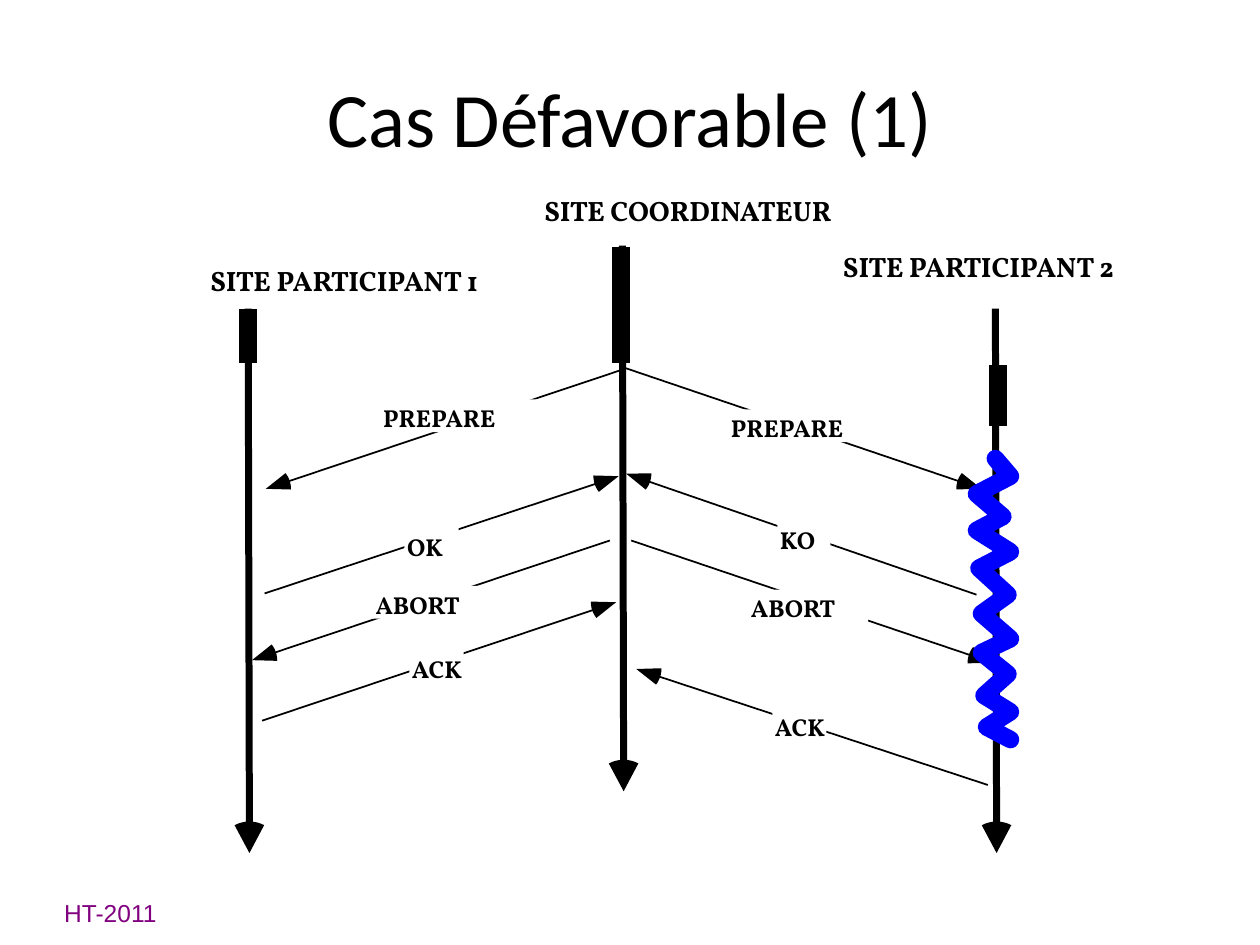
"""Builds the slide on the unfavourable case of two-phase commit."""
from dataclasses import dataclass
from math import atan2, cos, radians, sin

from lxml import etree
from pptx import Presentation
from pptx.dml.color import RGBColor
from pptx.enum.shapes import MSO_CONNECTOR, MSO_SHAPE
from pptx.enum.text import MSO_ANCHOR, MSO_AUTO_SIZE, PP_ALIGN
from pptx.oxml.ns import qn
from pptx.util import Inches, Pt

STRAIGHT = MSO_CONNECTOR.STRAIGHT
RECTANGLE = MSO_SHAPE.RECTANGLE
MIDDLE, TOP = MSO_ANCHOR.MIDDLE, MSO_ANCHOR.TOP
FIT, NO_FIT = MSO_AUTO_SIZE.SHAPE_TO_FIT_TEXT, MSO_AUTO_SIZE.NONE
LEFT, CENTER = PP_ALIGN.LEFT, PP_ALIGN.CENTER


@dataclass(frozen=True)
class Theme:
    ink: RGBColor = RGBColor(0, 0, 0)
    paper: RGBColor = RGBColor(255, 255, 255)
    failure: RGBColor = RGBColor(0, 0, 255)
    footer: RGBColor = RGBColor(128, 0, 128)
    title_font: str = "Calibri"
    label_font: str = "Vollkorn"
    footer_font: str = "Arial"
    title_size: int = 44
    site_size: int = 16
    label_size: int = 14
    thin: int = 1
    axis: int = 4
    heavy: int = 10


class Diagram:
    def __init__(self, slide, theme):
        self.s = slide
        self.theme = theme

    def text(self, text, box, size, font, color, bold=False, title=False):
        shape = self.s.shapes.add_textbox(*map(Inches, box))
        tf = shape.text_frame
        tf.word_wrap = title
        tf.auto_size = NO_FIT if title else FIT
        tf.vertical_anchor = MIDDLE if title else TOP
        tf.margin_left = tf.margin_right = Inches(0.09)
        p = tf.paragraphs[0]
        p.text = text
        p.alignment = CENTER if title else LEFT
        p.font.size, p.font.name, p.font.bold = Pt(size), font, bold
        p.font.color.rgb = color

    def line(self, start, end, width):
        line = self.s.shapes.add_connector(STRAIGHT, *map(Inches, (*start, *end)))
        line.line.color.rgb = self.theme.ink
        line.line.width = Pt(width)
        etree.SubElement(line._element.spPr, qn("a:effectLst"))

    def outline(self, points, close):
        pts = [(Inches(x), Inches(y)) for x, y in points]
        builder = self.s.shapes.build_freeform(*pts[0])
        builder.add_line_segments(pts[1:], close=close)
        shape = builder.convert_to_shape()
        shape.shadow.inherit = False
        return shape

    def arrow(self, start, tip, width, radius=0.2, half_angle=20):
        (x, y), (tip_x, tip_y) = start, tip
        back = atan2(y - tip_y, x - tip_x)

        def from_tip(distance, degrees):
            angle = back + radians(degrees)
            return tip_x + distance * cos(angle), tip_y + distance * sin(angle)

        arc = [from_tip(radius, half_angle * i / 4) for i in range(-4, 5)]
        head = self.outline([tip, *arc], True)
        head.fill.solid()
        head.fill.fore_color.rgb = self.theme.ink
        head.line.fill.background()
        self.line(start, from_tip(0.9 * radius, 0), width)

    def site(self, name, box):
        t = self.theme
        self.text(name, box, t.site_size, t.label_font, t.ink, bold=True)

    def message(self, name, left, top, width, mask_width):
        t = self.theme
        mask = self.s.shapes.add_shape(
            RECTANGLE, *map(Inches, (left + 0.07, top + 0.02, mask_width, 0.26)))
        mask.shadow.inherit = False
        mask.fill.solid()
        mask.fill.fore_color.rgb = t.paper
        mask.line.fill.background()
        self.text(name, (left, top, width, 0.32), t.label_size, t.label_font,
                  t.ink, bold=True)

    def zigzag(self, points):
        shape = self.outline(points, False)
        shape.fill.background()
        shape.line.color.rgb = self.theme.failure
        shape.line.width = Pt(self.theme.heavy)
        ln = shape._element.spPr.find(qn("a:ln"))
        ln.set("cap", "rnd")
        etree.SubElement(ln, qn("a:round"))


AXES = [(1.97, 2.45, 6.77), (4.94, 1.95, 6.28), (7.9, 2.45, 6.77)]
ACTIVITY = [(4.93, 1.96, 2.88), (1.97, 2.45, 2.88), (7.92, 2.9, 3.38)]
ARROWS = [
    ((4.95, 2.93), (2.11, 3.88)), ((4.93, 2.91), (7.79, 3.88)),
    ((2.1, 4.71), (4.91, 3.78)), ((7.75, 4.72), (4.97, 3.76)),
    ((4.84, 4.29), (2, 5.24)), ((5.01, 4.29), (7.88, 5.26)),
    ((2.08, 5.72), (4.89, 4.78)), ((7.84, 6.23), (5.05, 5.31)),
]
WIDTHS = {"PREPARE": (1.11, 1.26), "OK": (0.48, 0.43), "KO": (0.48, 0.42),
          "ABORT": (0.88, 0.95), "ACK": (0.6, 0.43)}
MESSAGES = [
    ("PREPARE", 2.95, 3.15), ("PREPARE", 5.71, 3.23),
    ("OK", 3.14, 4.17), ("KO", 6.1, 4.12),
    ("ABORT", 2.89, 4.63), ("ABORT", 5.87, 4.66),
    ("ACK", 3.18, 5.14), ("ACK", 6.06, 5.6),
]
FAILURE = [
    (7.9, 3.64), (8.02, 3.78), (7.75, 3.92), (7.96, 4.1), (7.75, 4.21),
    (8.02, 4.38), (7.77, 4.51), (8, 4.72), (7.79, 4.87), (8.02, 5.07),
    (7.79, 5.18), (8, 5.35), (7.81, 5.52), (8.02, 5.65), (7.83, 5.77),
    (8.02, 5.87),
]
SITES = [
    ("SITE COORDINATEUR", (4.23, 1.49, 2.61, 0.36)),
    ("SITE PARTICIPANT 2", (6.6, 1.93, 2.49, 0.36)),
    ("SITE PARTICIPANT 1", (1.58, 2.04, 2.49, 0.36)),
]


def main():
    prs = Presentation()
    prs.slide_width, prs.slide_height = Inches(10), Inches(7.5)
    t = Theme()
    d = Diagram(prs.slides.add_slide(prs.slide_layouts[6]), t)
    d.text("HT-2011", (0.42, 7.08, 0.96, 0.28), t.label_size, t.footer_font, t.footer)
    d.text("Cas Défavorable (1)", (0.5, 0.3, 9, 1.25), t.title_size,
           t.title_font, t.ink, title=True)
    for x, top, bottom in AXES:
        d.arrow((x, top), (x + 0.01, bottom), t.axis, radius=0.25, half_angle=28)
    for x, top, bottom in ACTIVITY:
        d.line((x, top), (x, bottom), t.heavy)
    for start, tip in ARROWS:
        d.arrow(start, tip, t.thin)
    d.zigzag(FAILURE)
    for name, left, top in MESSAGES:
        d.message(name, left, top, *WIDTHS[name])
    for name, box in SITES:
        d.site(name, box)
    prs.save("out.pptx")


if __name__ == "__main__":
    main()
